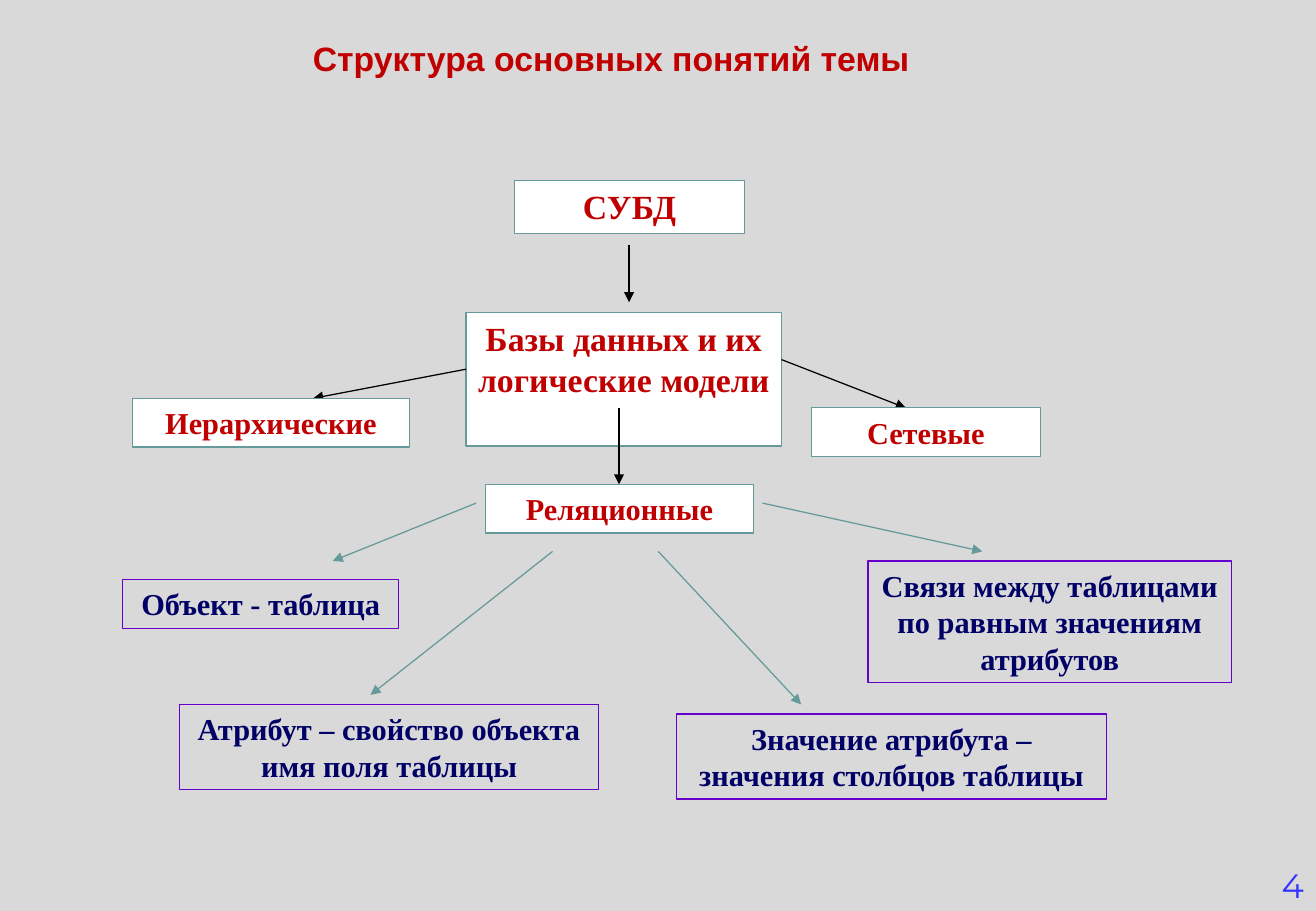
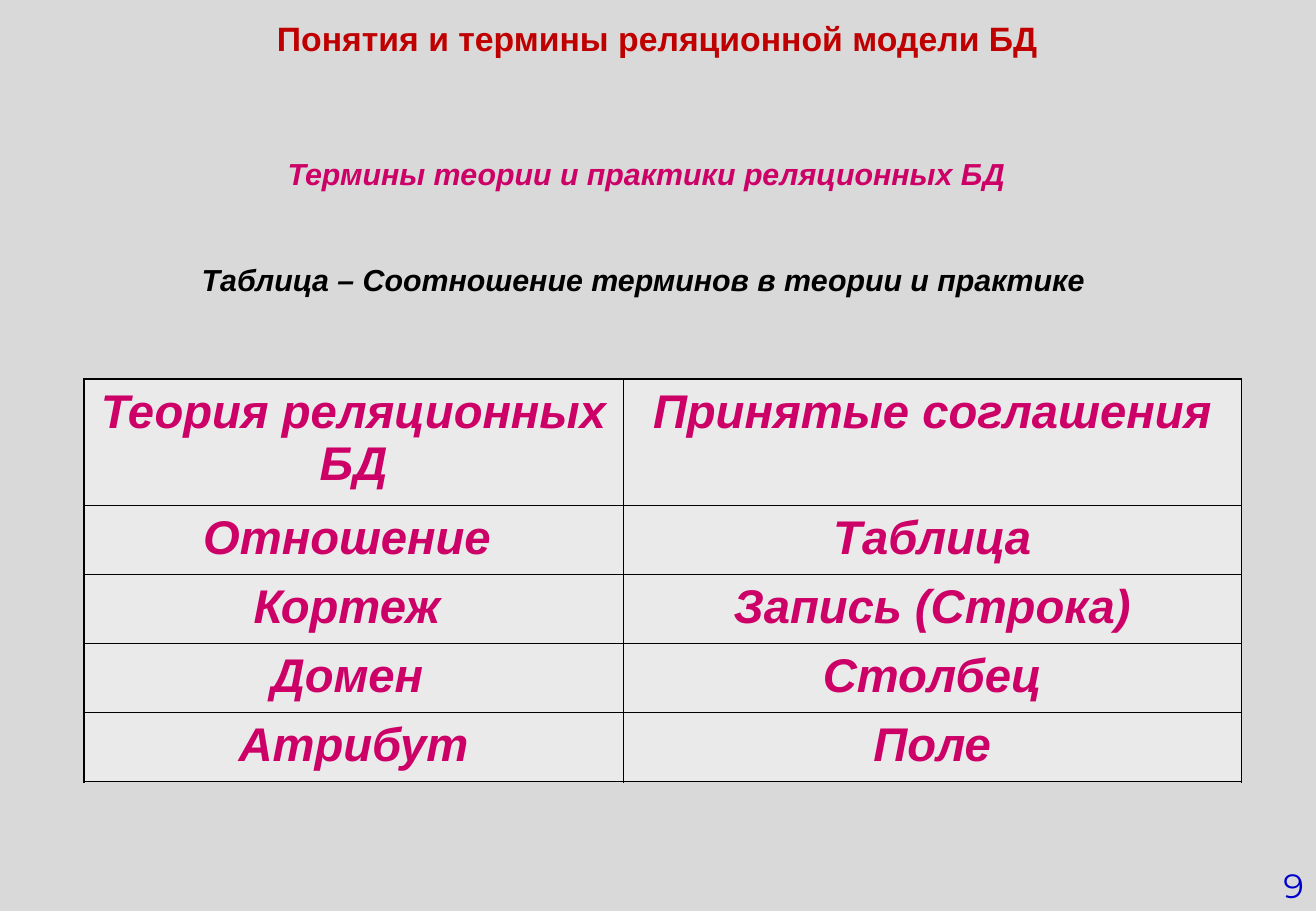
from dataclasses import dataclass
from typing import NamedTuple

from lxml.etree import SubElement
from pptx import Presentation
from pptx.dml.color import RGBColor
from pptx.enum.shapes import MSO_CONNECTOR as Connector, MSO_SHAPE as Preset
from pptx.enum.text import MSO_ANCHOR as Anchor, MSO_AUTO_SIZE as AutoSize, PP_ALIGN as Align
from pptx.oxml.ns import qn
from pptx.util import Cm, Pt


@dataclass(frozen=True)
class Theme:
    background: str = "D9D9D9"
    title: str = "C00000"
    concept_fill: str = "FFFFFF"
    concept_line: str = "669999"
    detail_text: str = "000066"
    detail_line: str = "6600CC"
    accent: str = "CC0066"
    cell_fill: str = "EAEAEA"
    ink: str = "000000"
    sans: str = "Arial"
    serif: str = "Times New Roman"
    number_font: str = "Montserrat"
    large: int = 20
    medium: int = 18
    table_size: int = 28
    line: float = 0.75
    outer_border: float = 1.08
    inner_border: float = 0.45


THEME = Theme()


class Box(NamedTuple):
    """A region in centimetres."""
    left: float
    top: float
    width: float
    height: float

    def inside(self, left, top, width, height):
        return Box(self.left + left, self.top + top, width, height)

    def point(self, x, y):
        return Cm(self.left + x), Cm(self.top + y)

    def lengths(self):
        return [Cm(value) for value in self]


PAGE = Box(0, 0, 27.53, 19.05)


def color(value):
    return RGBColor.from_string(value)


def write(frame, text, font=THEME.sans, size=THEME.medium, ink=THEME.ink, bold=True,
          italic=False, align=Align.CENTER, anchor=Anchor.TOP, wrap=True):
    frame.word_wrap = wrap
    frame.vertical_anchor = anchor
    paragraph = frame.paragraphs[0]
    paragraph.alignment = align
    run = paragraph.add_run()
    run.text = text
    run.font.name = font
    run.font.size = Pt(size)
    run.font.bold = bold
    run.font.italic = italic
    run.font.color.rgb = color(ink)


def add_text(slide, box, text, **style):
    write(slide.shapes.add_textbox(*box.lengths()).text_frame, text, **style)


# Parts shared by the slides
def add_page(presentation, title, title_box, number, number_ink):
    slide = presentation.slides.add_slide(presentation.slide_layouts.get_by_name("Title Only"))
    heading = slide.shapes.title
    heading.left, heading.top, heading.width, heading.height = title_box.lengths()
    heading.text_frame.auto_size = AutoSize.NONE
    write(heading.text_frame, title, size=THEME.large, ink=THEME.title, anchor=Anchor.MIDDLE)
    number_box = PAGE.inside(PAGE.width - 6.43, PAGE.height - 1.27, 6.43, 1.27)
    add_text(slide, number_box, number, font=THEME.number_font, size=THEME.large,
             ink=number_ink, bold=False, align=Align.RIGHT, anchor=Anchor.BOTTOM)
    return slide


# Parts of the concept diagram
def add_node(slide, box, text, size=THEME.medium, detail=False):
    shape = slide.shapes.add_shape(Preset.RECTANGLE, *box.lengths())
    shape.shadow.inherit = False
    if detail:
        shape.fill.background()
    else:
        shape.fill.solid()
        shape.fill.fore_color.rgb = color(THEME.concept_fill)
    shape.line.color.rgb = color(THEME.detail_line if detail else THEME.concept_line)
    shape.line.width = Pt(THEME.line)
    write(shape.text_frame, text, font=THEME.serif, size=size,
          ink=THEME.detail_text if detail else THEME.title)


def add_arrow(slide, start, end, ink):
    arrow = slide.shapes.add_connector(Connector.STRAIGHT, *start, *end)
    arrow.line.color.rgb = color(ink)
    arrow.line.width = Pt(THEME.line)
    properties = arrow._element.spPr
    SubElement(properties.find(qn("a:ln")), qn("a:tailEnd"), type="triangle")
    SubElement(properties, qn("a:effectLst"))


def add_diagram(slide, box):
    # The central node lies under the arrows
    add_node(slide, box.inside(7.25, 2.78, 6.6, 2.8),
             "Базы данных и их логические модели", THEME.large)
    model_arrows = [
        ((10.66, 1.38), (10.66, 2.57)),
        ((7.25, 3.97), (4.05, 4.58)),
        ((10.45, 4.78), (10.45, 6.38)),
        ((13.85, 3.77), (16.45, 4.78)),
    ]
    detail_arrows = [
        ((7.46, 6.77), (4.46, 7.98)),
        ((9.06, 7.78), (5.25, 10.78)),
        ((11.27, 7.78), (14.26, 10.98)),
        ((13.45, 6.77), (18.05, 7.78)),
    ]
    for arrows, ink in ((model_arrows, THEME.ink), (detail_arrows, THEME.concept_line)):
        for start, end in arrows:
            add_arrow(slide, box.point(*start), box.point(*end), ink)

    # Database system and the three models
    add_node(slide, box.inside(8.27, 0.02, 4.8, 1.12), "СУБД", THEME.large)
    models = [
        (0.27, 4.58, 5.8, "Иерархические"),
        (7.66, 6.38, 5.6, "Реляционные"),
        (14.47, 4.78, 4.8, "Сетевые"),
    ]
    for left, top, width, text in models:
        add_node(slide, box.inside(left, top, width, 1.02), text)

    # Details of the relational model
    details = [
        ((0.07, 8.37, 5.77, 1.02), "Объект - таблица"),
        ((1.26, 10.98, 8.76, 1.78), "Атрибут – свойство объекта имя поля таблицы"),
        ((11.65, 11.18, 9, 1.78), "Значение атрибута – значения столбцов таблицы"),
        ((15.66, 7.98, 7.6, 2.54), "Связи между таблицами по равным значениям атрибутов"),
    ]
    for place, text in details:
        add_node(slide, box.inside(*place), text, detail=True)


# Parts of the table of terms
def format_cell(cell, text, outer_sides):
    write(cell.text_frame, text, size=THEME.table_size, ink=THEME.accent, italic=True)
    properties = cell._tc.get_or_add_tcPr()
    for side in "LRTB":
        width = THEME.outer_border if side in outer_sides else THEME.inner_border
        border = SubElement(properties, qn(f"a:ln{side}"), w=str(Pt(width)))
        SubElement(SubElement(border, qn("a:solidFill")), qn("a:srgbClr"), val=THEME.ink)
    cell.fill.solid()
    cell.fill.fore_color.rgb = color(THEME.cell_fill)


def add_terms_table(slide, box, rows, first_column, header_height):
    last = len(rows) - 1
    table = slide.shapes.add_table(len(rows), 2, *box.lengths()).table
    table.first_row = table.horz_banding = False
    for column, width in zip(table.columns, (first_column, box.width - first_column)):
        column.width = Cm(width)
    for index, terms in enumerate(rows):
        height = header_height if index == 0 else (box.height - header_height) / last
        table.rows[index].height = Cm(height)
        edges = {0: "T", last: "B"}.get(index, "")
        for position, (term, side) in enumerate(zip(terms, "LR")):
            format_cell(table.cell(index, position), term, edges + side)


def build_structure_slide(presentation):
    slide = add_page(presentation, "Структура основных понятий темы",
                     PAGE.inside(1.4, 0.66, 22.78, 1.12), "4", "3333FF")
    add_diagram(slide, PAGE.inside(2.5, 3.75, 23.26, 12.96))


def build_terms_slide(presentation):
    slide = add_page(presentation, "Понятия и термины реляционной модели БД",
                     PAGE.inside(0, 0, 27.51, 1.6), "9", "0000CC")
    rows = [
        ("Теория реляционных БД", "Принятые соглашения"),
        ("Отношение ", "Таблица"),
        ("Кортеж ", "Запись (Строка)"),
        ("Домен ", "Столбец"),
        ("Атрибут", "Поле"),
    ]
    add_terms_table(slide, PAGE.inside(1.76, 7.93, 24.21, 8.42), rows, 11.27, 2.64)
    captions = [
        ((3.97, 5.33, 19.02, 1.02), "Таблица – Соотношение терминов в теории и практике", THEME.ink),
        ((5.77, 3.13, 15.54, 1.02), "Термины теории и практики реляционных БД", THEME.accent),
    ]
    for place, text, ink in captions:
        add_text(slide, PAGE.inside(*place), text, ink=ink, italic=True,
                 align=Align.LEFT, wrap=False)


def main():
    presentation = Presentation()
    presentation.slide_width, presentation.slide_height = Cm(PAGE.width), Cm(PAGE.height)
    fill = presentation.slide_master.background.fill
    fill.solid()
    fill.fore_color.rgb = color(THEME.background)
    build_structure_slide(presentation)
    build_terms_slide(presentation)
    presentation.save("out.pptx")


if __name__ == "__main__":
    main()
